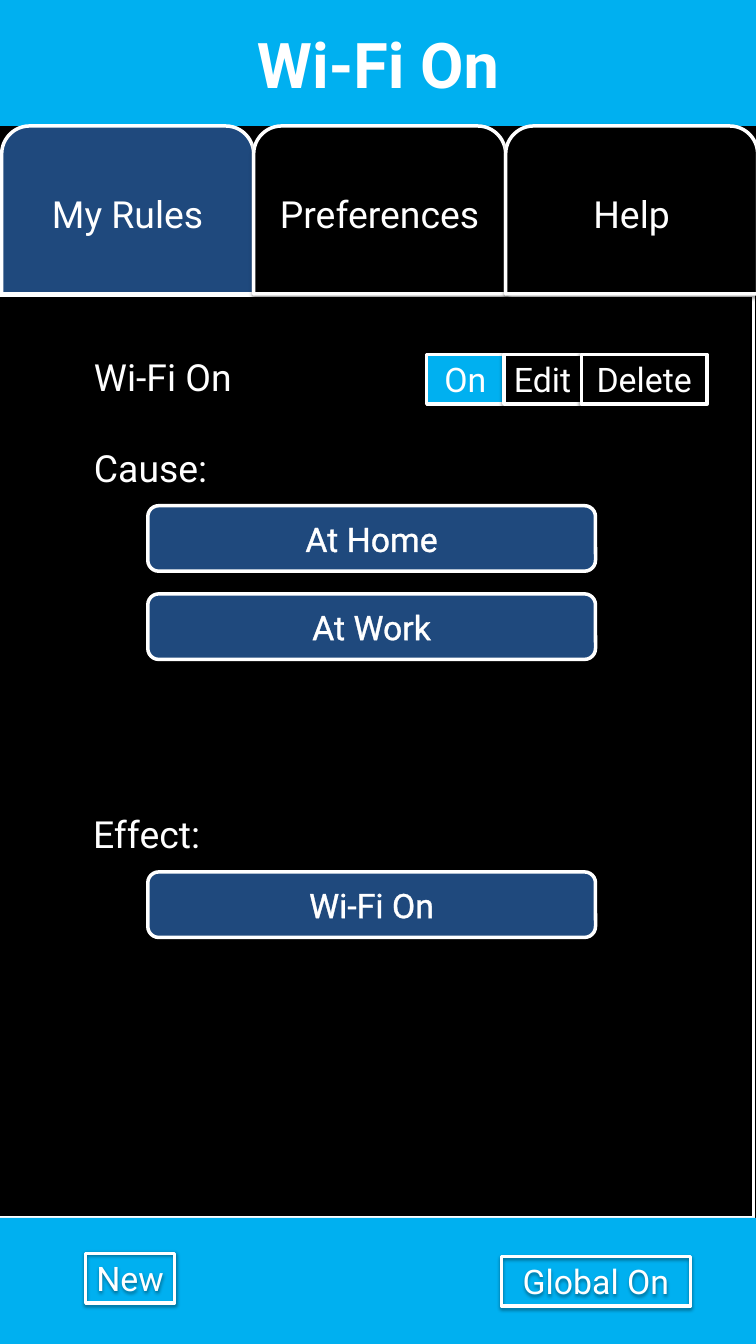
from dataclasses import dataclass
from typing import Optional

import lxml.etree
import pptx
import pptx.dml.color
import pptx.enum.shapes
import pptx.enum.text
import pptx.oxml
import pptx.oxml.ns
import pptx.shapes.autoshape
import pptx.slide
import pptx.text.text
import pptx.util

Inches = pptx.util.Inches
Pt = pptx.util.Pt
RGBColor = pptx.dml.color.RGBColor
Shape = pptx.shapes.autoshape.Shape
Slide = pptx.slide.Slide
TextFrame = pptx.text.text.TextFrame
Kind = pptx.enum.shapes.MSO_SHAPE
Align = pptx.enum.text.PP_ALIGN
Anchor = pptx.enum.text.MSO_ANCHOR
AutoSize = pptx.enum.text.MSO_AUTO_SIZE

BLACK = RGBColor(0x00, 0x00, 0x00)
WHITE = RGBColor(0xFF, 0xFF, 0xFF)
SKY = RGBColor(0x00, 0xB0, 0xF0)
NAVY = RGBColor(0x1F, 0x49, 0x7D)

FONT = "Roboto"
LARGE, SMALL = 32, 29
WIDTH, HEIGHT, BAR_HEIGHT = 9, 16, 1.5
TAB_WIDTH, TAB_HEIGHT = 3, 2
ACTION_HEIGHT = 0.59
NAMESPACE = 'xmlns:a="http://schemas.openxmlformats.org/drawingml/2006/main"'
SHADOW = (
    f'<a:outerShdw {NAMESPACE} blurRad="{Pt(3.1)}" dist="{Pt(1.6)}" dir="5400000" rotWithShape="0">'
    '<a:srgbClr val="000000"><a:alpha val="38000"/></a:srgbClr></a:outerShdw>'
)
TEXT_OUTLINE = (
    f'<a:ln {NAMESPACE} w="{Pt(0.75)}"><a:solidFill><a:srgbClr val="FFFFFF"/></a:solidFill></a:ln>'
)


@dataclass(frozen=True)
class Box:
    left: float
    top: float
    width: float
    height: float
    fill: Optional[RGBColor] = None
    kind: Kind = Kind.RECTANGLE
    bordered: bool = True
    shadow: bool = False


@dataclass(frozen=True)
class Caption:
    text: str
    left: float
    top: float


@dataclass(frozen=True)
class Action:
    text: str
    left: float
    top: float
    width: float
    fill: Optional[RGBColor] = None


def write(frame: TextFrame, text: str, size: float, align: Align, anchor: Anchor, grow: bool = False) -> None:
    frame.word_wrap = True
    frame.auto_size = AutoSize.SHAPE_TO_FIT_TEXT if grow else AutoSize.NONE
    frame.vertical_anchor = anchor
    frame.text = text
    paragraph = frame.paragraphs[0]
    paragraph.alignment = align
    paragraph.font.name = FONT
    paragraph.font.size = Pt(size)
    paragraph.font.color.rgb = WHITE


def add_box(slide: Slide, box: Box) -> Shape:
    shape = slide.shapes.add_shape(
        box.kind, Inches(box.left), Inches(box.top), Inches(box.width), Inches(box.height)
    )
    if box.fill is None:
        shape.fill.background()
    else:
        shape.fill.solid()
        shape.fill.fore_color.rgb = box.fill
    if box.bordered:
        shape.line.color.rgb = WHITE
        shape.line.width = Pt(3)
    else:
        shape.line.fill.background()
    shape.shadow.inherit = False
    if box.shadow:
        effects = shape._element.spPr.find(pptx.oxml.ns.qn("a:effectLst"))
        effects.append(lxml.etree.fromstring(SHADOW))
    return shape


def add_title(slide: Slide, text: str) -> None:
    title = slide.shapes.title
    title.left, title.top = Inches(0), Inches(0)
    title.width, title.height = Inches(WIDTH), Inches(BAR_HEIGHT)
    title.fill.solid()
    title.fill.fore_color.rgb = SKY
    write(title.text_frame, text, 54, Align.CENTER, Anchor.MIDDLE)
    title.text_frame.paragraphs[0].font.bold = True


def add_tab(slide: Slide, index: int, text: str) -> None:
    selected = index == 0
    tab = add_box(slide, Box(
        0.02 + index * TAB_WIDTH, BAR_HEIGHT, TAB_WIDTH, TAB_HEIGHT,
        NAVY if selected else BLACK, Kind.ROUND_2_SAME_RECTANGLE, shadow=not selected,
    ))
    write(tab.text_frame, text, LARGE, Align.CENTER, Anchor.MIDDLE)


def add_caption(slide: Slide, caption: Caption) -> None:
    text_box = slide.shapes.add_textbox(
        Inches(caption.left), Inches(caption.top), Inches(2.83), Inches(0.64)
    )
    write(text_box.text_frame, caption.text, LARGE, Align.LEFT, Anchor.TOP, grow=True)


def add_action(slide: Slide, action: Action) -> None:
    shape = add_box(slide, Box(
        action.left, action.top, action.width, ACTION_HEIGHT, action.fill, shadow=True
    ))
    write(shape.text_frame, action.text, SMALL, Align.CENTER, Anchor.TOP, grow=True)


def add_rule_part(slide: Slide, text: str, top: float) -> None:
    """Add a wide rounded button naming one cause or effect, its letters outlined."""
    shape = add_box(slide, Box(1.76, top, 5.33, 0.78, NAVY, Kind.ROUNDED_RECTANGLE))
    write(shape.text_frame, text, SMALL, Align.CENTER, Anchor.MIDDLE)
    run = shape.text_frame.paragraphs[0].runs[0]
    run.font._element.insert(0, pptx.oxml.parse_xml(TEXT_OUTLINE))


TABS = ("My Rules", "Preferences", "Help")
CAPTIONS = (
    Caption("Wi-Fi On", 1.02, 4.17),
    Caption("Cause:", 1.02, 5.25),
    Caption("Effect:", 1.01, 9.61),
)
RULE_ACTIONS = (
    Action("On", 5.08, 4.22, 0.92, SKY),
    Action("Edit", 6, 4.22, 0.92),
    Action("Delete", 6.92, 4.22, 1.5),
)
FOOTER_ACTIONS = (
    Action("New", 1.02, 14.92, 1.06),
    Action("Global On", 5.97, 14.96, 2.25),
)
RULE_PARTS = (("At Home", 6.02), ("At Work", 7.07), ("Wi-Fi On", 10.38))


def main() -> None:
    presentation = pptx.Presentation()
    presentation.slide_width = Inches(WIDTH)
    presentation.slide_height = Inches(HEIGHT)
    slide = presentation.slides.add_slide(presentation.slide_layouts.get_by_name("Title Only"))
    slide.background.fill.solid()
    slide.background.fill.fore_color.rgb = BLACK

    add_title(slide, "Wi-Fi On")
    panel = add_box(slide, Box(-0.03, 3.51, WIDTH, 10.99, BLACK, Kind.ROUNDED_RECTANGLE, shadow=True))
    panel.adjustments[0] = 0
    for action in RULE_ACTIONS:
        add_action(slide, action)
    add_box(slide, Box(0, HEIGHT - BAR_HEIGHT, WIDTH, BAR_HEIGHT, SKY, bordered=False))
    for action in FOOTER_ACTIONS:
        add_action(slide, action)
    for index, text in enumerate(TABS):
        add_tab(slide, index, text)
    for caption in CAPTIONS:
        add_caption(slide, caption)
    for text, top in RULE_PARTS:
        add_rule_part(slide, text, top)

    presentation.save("out.pptx")


if __name__ == "__main__":
    main()
